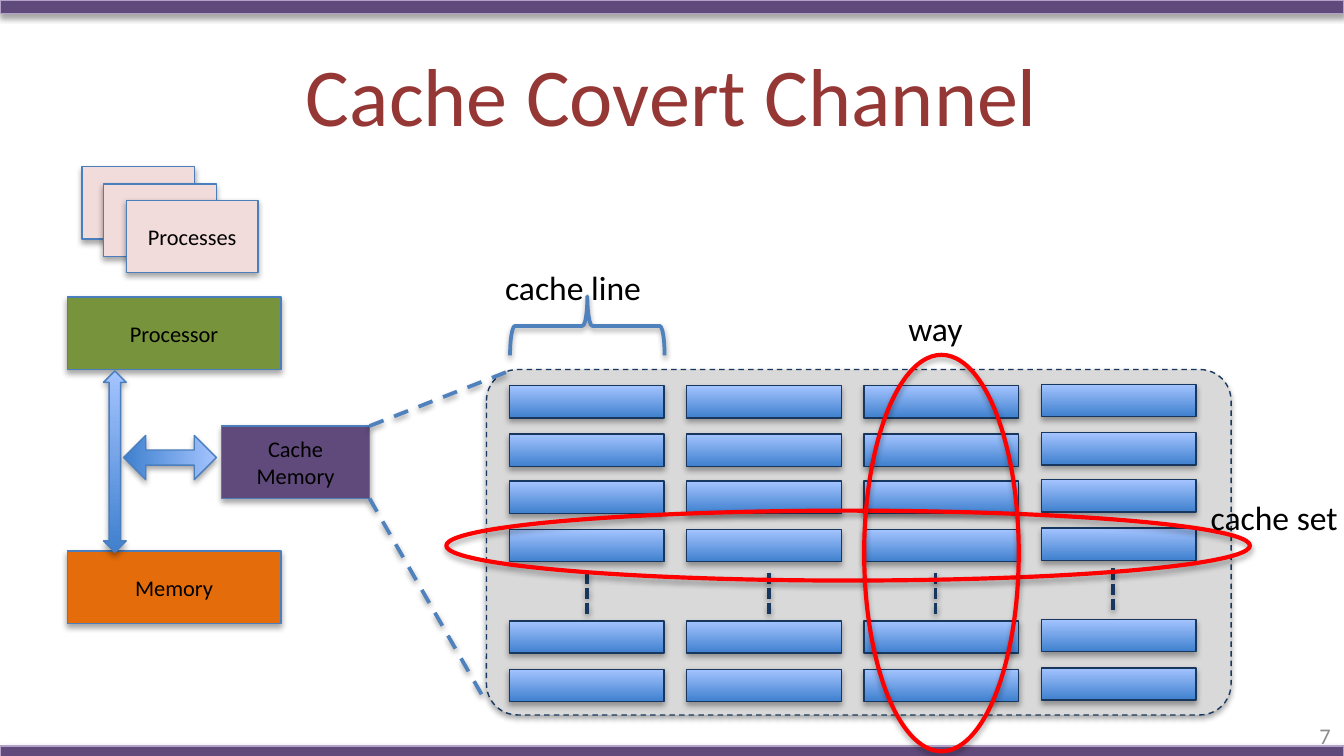
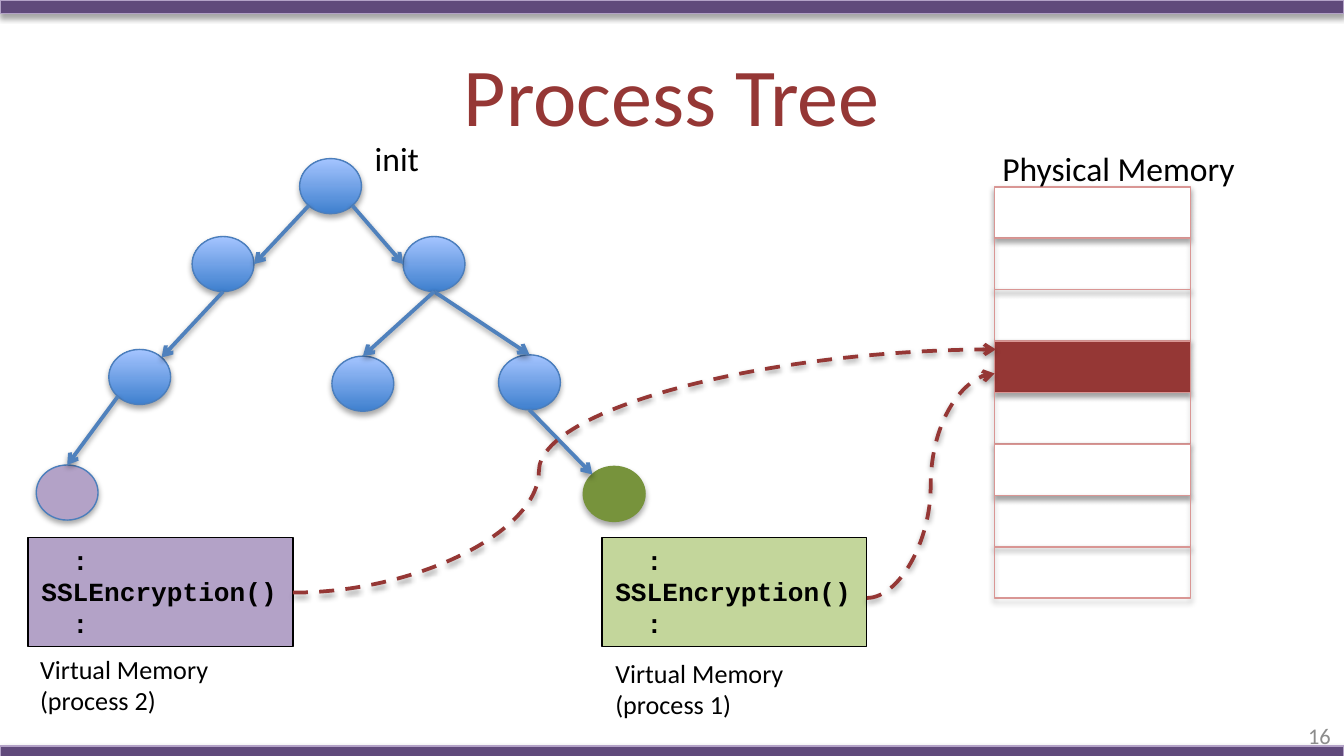
from math import cos, radians, sin

from lxml.etree import SubElement
from pptx import Presentation
from pptx.dml.color import RGBColor
from pptx.enum.dml import MSO_LINE
from pptx.enum.shapes import MSO_CONNECTOR, MSO_SHAPE
from pptx.enum.text import MSO_ANCHOR, MSO_AUTO_SIZE, PP_ALIGN
from pptx.oxml.ns import qn
from pptx.util import Pt

PX = 9144  # 100 px to the inch
WIDTH = 1000

# Shared colours
PURPLE, LILAC = "604A7B", "B3A2C7"
MAROON, ROSE, PINK = "953735", "D99694", "F2DCDB"
GREEN, LIME, ORANGE = "77933C", "C3D69B", "E46C0A"
BLUE, EDGE_BLUE, NAVY = "4F81BD", "4B7EBC", "17375E"
BLACK, WHITE, GREY, PALE_GREY, RED = "000000", "FFFFFF", "8C8C8C", "D9D9D9", "FF0000"
GRADIENT = ("3F80CE", "A4C4FF")  # bottom, top

BANDS = [(0, 0, WIDTH, 10), (0, 555, WIDTH, 10)]
TITLE_AREA = (50, 23, 900, 94)
NUMBER_AREA = (767, 532, 233, 30)

# Slide 1: cache
CACHE_PANEL = (362, 275, 554, 257)
CACHE_COLUMNS = [  # left, row shift, dots x, dots top
    (379, 0, 437, 426),
    (511, 0, 572, 426),
    (643, 0, 696, 426),
    (775, -1, 828, 423),
]
CACHE_ROWS = [287, 323, 358, 394, 462, 498]
LINE_WIDTH, LINE_HEIGHT, DOTS_HEIGHT = 115, 24, 33
CACHE_LABELS = [
    ("cache line", (366, 194, 123, 40)),
    ("cache set", (891, 365, 116, 40)),
    ("way", (666, 224, 62, 40)),
]
CACHE_RINGS = [(332, 380, 598, 52), (643, 264, 115, 295)]
COMPONENTS = [
    ("", (61, 124, 84, 54), PINK),
    ("", (77, 137, 84, 54), PINK),
    ("Processes", (94, 149, 98, 54), PINK),
    ("Processor", (50, 221, 159, 54), GREEN),
    ("Memory", (50, 410, 159, 54), ORANGE),
    ("Cache\nMemory", (165, 317, 110, 54), PURPLE),
]
BUSES = [  # area, rotation, adjustments
    ((77, 276, 17, 135), 0, (0.5, 0.5)),
    ((110, 306, 33, 69), 90, (0.1, 0.34)),
]
ZOOM_LINES = [((275, 317), (379, 276)), ((275, 371), (362, 523))]

# Slide 2: process tree
NODE_WIDTH, NODE_HEIGHT = 46, 41
NODES = {  # left, top, fill, line
    "init": (223, 118, GRADIENT, EDGE_BLUE),
    "left": (143, 176, GRADIENT, EDGE_BLUE),
    "right": (300, 176, GRADIENT, EDGE_BLUE),
    "inner": (247, 265, GRADIENT, EDGE_BLUE),
    "outer": (371, 264, GRADIENT, EDGE_BLUE),
    "process 1": (434, 347, GREEN, GREEN),
    "far left": (81, 260, GRADIENT, EDGE_BLUE),
    "process 2": (27, 346, LILAC, EDGE_BLUE),
}
ANGLES = {"E": 0, "SE": 45, "S": 90, "SW": 135, "W": 180, "NW": 225, "N": 270, "NE": 315}
BRANCHES = [  # parent, leaving side, child, entering side
    ("init", "SE", "right", "W"),
    ("right", "S", "outer", "N"),
    ("right", "S", "inner", "N"),
    ("outer", "S", "process 1", "NW"),
    ("init", "SW", "left", "E"),
    ("left", "S", "far left", "NE"),
    ("far left", "SW", "process 2", "N"),
]
CODE = "  :\nSSLEncryption()\n  :"
VIRTUAL_MEMORIES = [  # process, code area, fill, label area
    (1, (448, 400, 197, 81), LIME, (448, 484, 213, 57)),
    (2, (21, 400, 197, 81), LILAC, (20, 481, 213, 57)),
]
FRAME_LEFT, FRAME_TOP, FRAME_STEP = 740, 139, 38.3
FRAME_FILLS = [WHITE, None, None, MAROON, None, WHITE, None, None]
MAPPINGS = [((645, 445), (740, 278), 0.5), ((218, 441), (741, 260), 0.35)]
TREE_LABELS = [
    ("init", (269, 98, 54, 40)),
    ("Physical Memory", (736, 105, 196, 40)),
]


def px(*lengths):
    return [round(length * PX) for length in lengths]


def color(value):
    return RGBColor.from_string(value)


def add_shadow(shape, alpha=35, distance=23000):
    properties = shape._element.spPr
    effects = properties.find(qn("a:effectLst"))
    if effects is None:
        effects = SubElement(properties, qn("a:effectLst"))
    shadow = SubElement(effects, qn("a:outerShdw"), blurRad="40000",
                        dist=str(distance), dir="5400000", rotWithShape="0")
    black = SubElement(shadow, qn("a:srgbClr"), val=BLACK)
    SubElement(black, qn("a:alpha"), val=str(alpha * 1000))


def write(shape, text, size=12, ink=BLACK, font="Calibri", bold=False,
          align=PP_ALIGN.LEFT, anchor=MSO_ANCHOR.TOP, wrap=True, grow=False):
    frame = shape.text_frame
    frame.text = text
    frame.word_wrap = wrap
    frame.vertical_anchor = anchor
    if grow:
        frame.auto_size = MSO_AUTO_SIZE.SHAPE_TO_FIT_TEXT
    for para in frame.paragraphs:
        para.alignment = align
        for span in para.runs:
            span.font.name = font
            span.font.size = Pt(size)
            span.font.bold = bold
            span.font.color.rgb = color(ink)


def add_text(page, text, area, **style):
    write(page.shapes.add_textbox(*px(*area)), text, **style)


def add_labels(page, labels):
    for text, area in labels:
        add_text(page, text, area, size=18, wrap=False, grow=True)


def add_box(page, area, fill=None, line=EDGE_BLUE, width=0.75,
            kind=MSO_SHAPE.RECTANGLE, shadow=True):
    box = page.shapes.add_shape(kind, *px(*area))
    box.shadow.inherit = False
    if fill is None:
        box.fill.background()
    elif isinstance(fill, tuple):
        box.fill.gradient()
        box.fill.gradient_angle = 90
        for stop, value in zip(box.fill.gradient_stops, fill):
            stop.color.rgb = color(value)
    else:
        box.fill.solid()
        box.fill.fore_color.rgb = color(fill)
    box.line.color.rgb = color(line)
    box.line.width = Pt(width)
    if shadow:
        add_shadow(box)
    return box


def add_line(page, start, end, ink=BLUE, dash=None, arrow=False, bend=None):
    kind = MSO_CONNECTOR.STRAIGHT if bend is None else MSO_CONNECTOR.CURVE
    line = page.shapes.add_connector(kind, *px(*start, *end))
    line.line.color.rgb = color(ink)
    line.line.width = Pt(2)
    if dash is not None:
        line.line.dash_style = dash
    if arrow:
        SubElement(line.line._get_or_add_ln(), qn("a:tailEnd"), type="arrow")
    if bend is not None:
        guides = line._element.spPr.find(qn("a:prstGeom")).find(qn("a:avLst"))
        SubElement(guides, qn("a:gd"), name="adj1", fmla=f"val {round(bend * 100000)}")
    add_shadow(line, alpha=38, distance=20000)


def add_page(deck, title, number):
    page = deck.slides.add_slide(deck.slide_layouts[6])
    for band in BANDS:
        add_box(page, band, PURPLE, LILAC)
    add_text(page, title, TITLE_AREA, size=44, ink=MAROON,
             align=PP_ALIGN.CENTER, anchor=MSO_ANCHOR.MIDDLE)
    add_text(page, str(number), NUMBER_AREA, ink=GREY,
             align=PP_ALIGN.RIGHT, anchor=MSO_ANCHOR.MIDDLE)
    return page


def build_cache(deck):
    page = add_page(deck, "Cache Covert Channel", 7)

    # Cache lines by way and set
    panel = add_box(page, CACHE_PANEL, PALE_GREY, NAVY, kind=MSO_SHAPE.ROUNDED_RECTANGLE)
    panel.adjustments[0] = 0.09
    panel.line.dash_style = MSO_LINE.DASH
    for left, shift, dots_x, dots_top in CACHE_COLUMNS:
        for top in CACHE_ROWS:
            add_box(page, (left, top + shift, LINE_WIDTH, LINE_HEIGHT), GRADIENT, NAVY)
        add_line(page, (dots_x, dots_top), (dots_x, dots_top + DOTS_HEIGHT),
                 NAVY, MSO_LINE.SQUARE_DOT)

    # Brace, rings and their labels
    brace = add_box(page, (415, 185, 44, 115), None, BLUE, 2, MSO_SHAPE.LEFT_BRACE)
    brace.rotation = 90
    for ring in CACHE_RINGS:
        add_box(page, ring, None, RED, 2.25, MSO_SHAPE.OVAL)
    add_labels(page, CACHE_LABELS)

    # Machine components and buses
    for text, area, fill in COMPONENTS:
        box = add_box(page, area, fill)
        if text:
            write(box, text, align=PP_ALIGN.CENTER, anchor=MSO_ANCHOR.MIDDLE)
    for area, rotation, adjustments in BUSES:
        bus = add_box(page, area, GRADIENT, kind=MSO_SHAPE.UP_DOWN_ARROW)
        bus.rotation = rotation
        for index, value in enumerate(adjustments):
            bus.adjustments[index] = value
    for start, end in ZOOM_LINES:
        add_line(page, start, end, dash=MSO_LINE.DASH)


def node_side(name, side):
    left, top = NODES[name][:2]
    angle = radians(ANGLES[side])
    return (left + NODE_WIDTH / 2 * (1 + cos(angle)),
            top + NODE_HEIGHT / 2 * (1 + sin(angle)))


def build_tree(deck):
    page = add_page(deck, "Process Tree", 16)

    # Tree
    for left, top, fill, line in NODES.values():
        add_box(page, (left, top, NODE_WIDTH, NODE_HEIGHT), fill, line, kind=MSO_SHAPE.OVAL)
    for parent, leaving, child, entering in BRANCHES:
        add_line(page, node_side(parent, leaving), node_side(child, entering), arrow=True)

    # Virtual memories
    for process, code_area, fill, label_area in VIRTUAL_MEMORIES:
        box = add_box(page, code_area, fill, BLACK, shadow=False)
        write(box, CODE, size=14, font="Courier New", bold=True, wrap=False, grow=True)
        add_text(page, f"Virtual Memory\n(process {process})", label_area, size=14, grow=True)

    # Physical memory and the pages mapped to it
    for index, fill in enumerate(FRAME_FILLS):
        add_box(page, (FRAME_LEFT, FRAME_TOP + index * FRAME_STEP, 146, 38), fill, ROSE)
    for start, end, bend in MAPPINGS:
        add_line(page, start, end, MAROON, MSO_LINE.DASH, arrow=True, bend=bend)
    add_labels(page, TREE_LABELS)


def main():
    deck = Presentation()
    deck.slide_width = WIDTH * PX
    deck.slide_height = deck.slide_width * 9 // 16
    build_cache(deck)
    build_tree(deck)
    deck.save("out.pptx")


if __name__ == "__main__":
    main()
